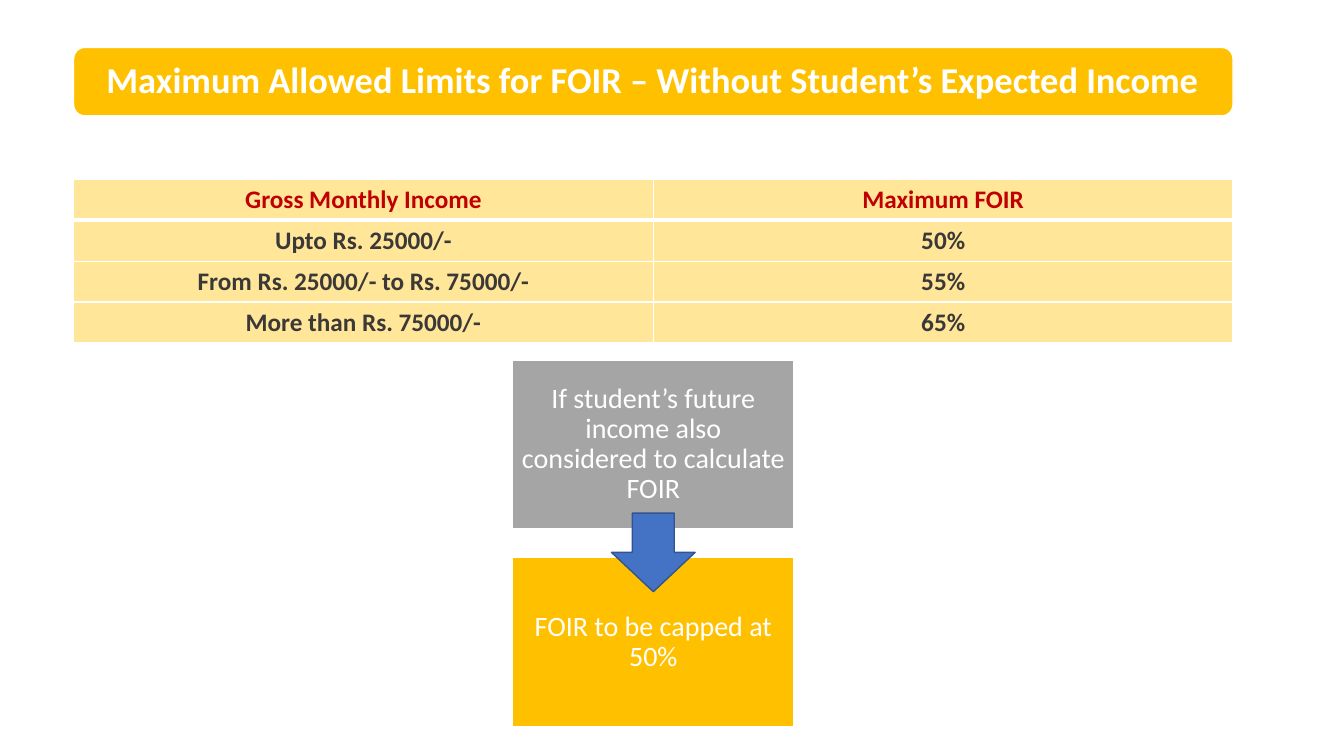
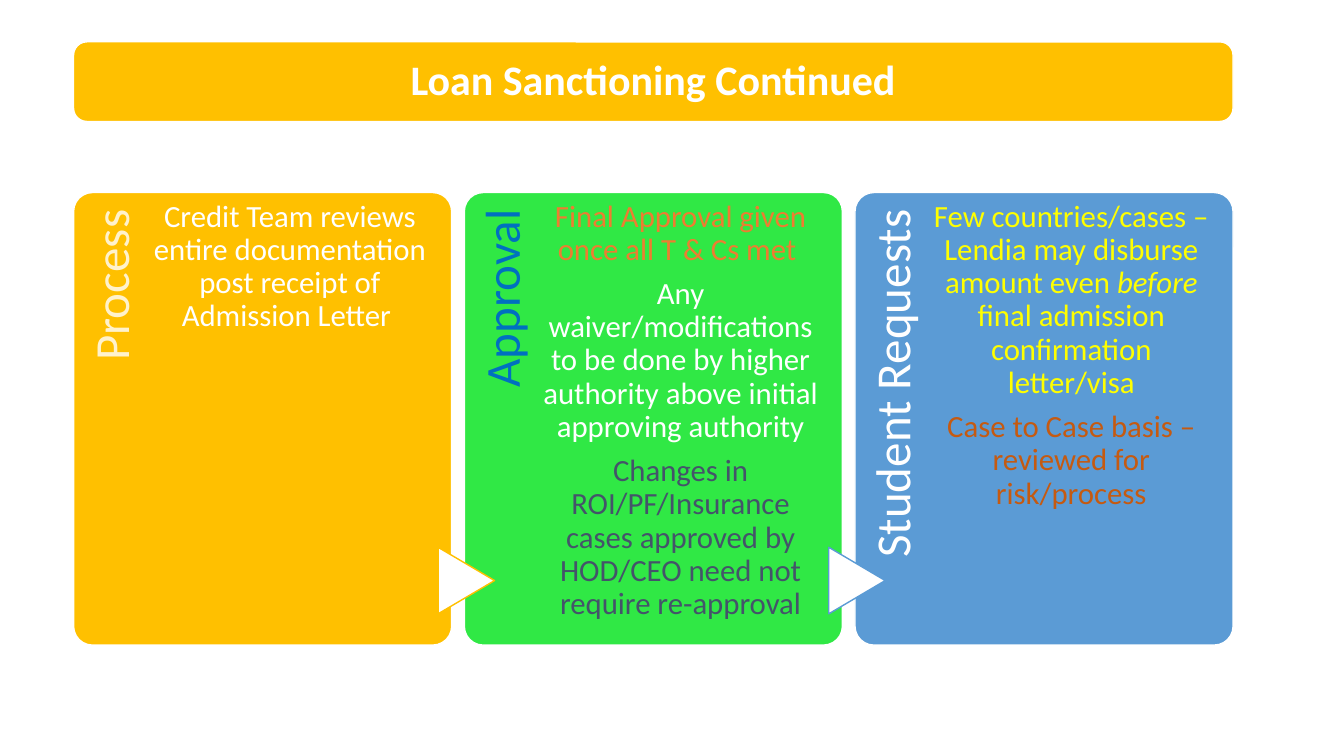
from pptx import Presentation
from pptx.dml.color import RGBColor
from pptx.enum.shapes import MSO_SHAPE
from pptx.enum.text import MSO_ANCHOR, MSO_AUTO_SIZE, PP_ALIGN
from pptx.oxml.ns import qn
from pptx.util import Inches, Pt
from lxml import etree

# Shared look
FONT = "Calibri"
COLORS = {
    "white": "FFFFFF", "gold": "FFC000", "pale_gold": "FFE699", "cream": "FFF2CC",
    "gray": "A5A5A5", "dark": "3B3838", "red": "C00000", "green": "30E845",
    "sky": "5B9BD5", "blue": "4472C4", "navy": "325491", "azure": "0070C0",
    "orange": "ED7D31", "slate": "44546A", "yellow": "FFFF00", "rust": "C55A11",
}
LEFT, WIDTH = 0.73, 11.5
BAND_MIDDLE = 0.81

# Content: slide 1
LIMITS_TITLE = "Maximum Allowed Limits for FOIR – Without Student’s Expected Income"
LIMITS = [
    ("Gross Monthly Income", "Maximum FOIR"),
    ("Upto Rs. 25000/-", "50%"),
    ("From Rs. 25000/- to Rs. 75000/-", "55%"),
    ("More than Rs. 75000/-", "65%"),
]
STEPS = [
    ("If student’s future income also considered to calculate FOIR", "gray"),
    ("FOIR to be capped at 50%", "gold"),
]

# Content: slide 2; each paragraph is a colour and its (text, italic) runs
SANCTION_TITLE = "Loan Sanctioning Continued"
CARDS = [
    ("Process", "gold", "cream", [
        ("white", [("Credit Team reviews entire documentation post receipt of "
                    "Admission Letter ", False)]),
    ]),
    ("Approval", "green", "azure", [
        ("orange", [("Final Approval given once all T & Cs met ", False)]),
        ("white", [("Any waiver/modifications to be done by higher authority "
                    "above initial approving authority", False)]),
        ("slate", [("Changes in ROI/PF/Insurance cases approved by HOD/CEO "
                    "need not require re-approval", False)]),
    ]),
    ("Student Requests", "sky", "white", [
        ("yellow", [("Few countries/cases – Lendia may disburse amount even ", False),
                    ("before ", True),
                    ("final admission confirmation letter/visa", False)]),
        ("rust", [("Case to Case basis – reviewed for risk/process", False)]),
    ]),
]
ARROW_LINES = ["gold", "sky"]


def rgb(name):
    return RGBColor.from_string(COLORS[name])


def place(sp, x, y, w, h):
    sp.left, sp.top, sp.width, sp.height = (Inches(v) for v in (x, y, w, h))


def add_box(s, kind, x, y, w, h, fill, line="white"):
    sp = s.shapes.add_shape(kind, *(Inches(v) for v in (x, y, w, h)))
    sp.shadow.inherit = False
    sp.fill.solid()
    sp.fill.fore_color.rgb = rgb(fill)
    sp.line.color.rgb = rgb(line)
    sp.line.width = Pt(1)
    return sp


def set_frame(sp, margins, anchor):
    tf = sp.text_frame
    tf.word_wrap = True
    tf.auto_size = MSO_AUTO_SIZE.NONE
    tf.vertical_anchor = anchor
    tf.margin_left, tf.margin_top, tf.margin_right, tf.margin_bottom = (
        Inches(m) for m in margins)
    return tf


def add_run(p, text, size, color, bold=False, italic=False):
    r = p.add_run()
    r.text = text
    f = r.font
    f.name, f.size, f.bold, f.italic = FONT, Pt(size), bold, italic
    f.color.rgb = rgb(color)


def write(tf, paragraphs, size, align=PP_ALIGN.CENTER, bold=False):
    for i, (color, runs) in enumerate(paragraphs):
        p = tf.paragraphs[0] if i == 0 else tf.add_paragraph()
        pPr = p._p.get_or_add_pPr()
        pPr.set("marL", "0")
        pPr.set("indent", "0")
        etree.SubElement(pPr, qn("a:buNone"))
        p.alignment = align
        p.line_spacing = 0.9
        p.space_before = Pt(0)
        p.space_after = Pt(round(0.35 * size, 1))
        for text, italic in runs:
            add_run(p, text, size, color, bold, italic)


def add_title(s, text, size, height, margin):
    top = BAND_MIDDLE - height / 2
    band = add_box(s, MSO_SHAPE.ROUNDED_RECTANGLE, LEFT, top, WIDTH, height, "gold")
    title = s.shapes.title
    title._element.addprevious(band._element)
    inset = 0.03
    place(title, LEFT + inset, top + inset, WIDTH - 2 * inset, height - 2 * inset)
    tf = set_frame(title, [margin] * 4, MSO_ANCHOR.MIDDLE)
    write(tf, [("white", [(text, False)])], size, bold=True)


def set_borders(cell, bottom):
    tcPr = cell._tc.get_or_add_tcPr()
    for i, (side, width) in enumerate(
            [("lnL", 1), ("lnR", 1), ("lnT", 1), ("lnB", bottom)]):
        ln = etree.Element(qn("a:" + side), w=str(Pt(width)))
        fill = etree.SubElement(ln, qn("a:solidFill"))
        etree.SubElement(fill, qn("a:srgbClr"), val=COLORS["white"])
        tcPr.insert(i, ln)


def add_limits_table(s, y, row_h):
    rows, cols = len(LIMITS), len(LIMITS[0])
    table = s.shapes.add_table(rows, cols, Inches(LEFT), Inches(y), Inches(WIDTH),
                               Inches(rows * row_h)).table
    table.horz_banding = False
    for i, row in enumerate(LIMITS):
        table.rows[i].height = Inches(row_h)
        for j, text in enumerate(row):
            cell = table.cell(i, j)
            cell.fill.solid()
            cell.fill.fore_color.rgb = rgb("pale_gold")
            p = cell.text_frame.paragraphs[0]
            p.alignment = PP_ALIGN.CENTER
            add_run(p, text, 18, "dark" if i else "red", bold=True)
            set_borders(cell, 1 if i else 3)
            if i == 1:  # share the thick rule under the header
                cell._tc.tcPr.find(qn("a:lnT")).set("w", str(Pt(3)))


def build_limits(prs):
    s = prs.slides.add_slide(prs.slide_layouts[5])
    add_title(s, LIMITS_TITLE, 26, 0.68, 0.11)
    add_limits_table(s, 1.78, 0.405)

    # Two stacked steps, centred under the table
    middle = LEFT + WIDTH / 2
    w, h, top, pitch = 2.79, 1.68, 3.57, 1.96
    for i, (text, fill) in enumerate(STEPS):
        sp = add_box(s, MSO_SHAPE.RECTANGLE, middle - w / 2, top + i * pitch, w, h, fill)
        tf = set_frame(sp, [0.08] * 4, MSO_ANCHOR.MIDDLE)
        write(tf, [("white", [(text, False)])], 20)
    arrow_w, arrow_h = 0.83, 0.78
    add_box(s, MSO_SHAPE.DOWN_ARROW, middle - arrow_w / 2, 5.09, arrow_w, arrow_h,
            "blue", "navy")


def build_sanctioning(prs):
    s = prs.slides.add_slide(prs.slide_layouts[4])
    add_title(s, SANCTION_TITLE, 30, 0.79, 0.12)

    # Three equal cards: a sideways heading strip and a body column
    top, w, h, gap = 1.91, 3.75, 4.49, 0.125
    strip, strip_len, body_w = 0.75, 3.69, 2.79
    arrow_w, arrow_h, arrow_y = 0.66, 0.56, 5.76
    for i, (heading, fill, heading_color, paragraphs) in enumerate(CARDS):
        x = LEFT + i * (w + gap)
        card = add_box(s, MSO_SHAPE.ROUNDED_RECTANGLE, x, top, w, h, fill)
        card.adjustments[0] = 0.05

        label = s.shapes.add_textbox(0, 0, 0, 0)
        place(label, x + (strip - strip_len) / 2, top + (strip_len - strip) / 2,
              strip_len, strip)
        label.rotation = 270
        tf = set_frame(label, (0, 0.13, 0.17, 0), MSO_ANCHOR.TOP)
        write(tf, [(heading_color, [(heading, False)])], 35, PP_ALIGN.RIGHT)

        if i:
            arrow = add_box(s, MSO_SHAPE.FLOWCHART_EXTRACT, x + 0.02 - arrow_w / 2,
                            arrow_y - arrow_h / 2, arrow_w, arrow_h, "white",
                            ARROW_LINES[i - 1])
            arrow.rotation = 90

        body = s.placeholders[i + 1]
        s.shapes._spTree.append(body._element)
        place(body, x + strip, top, body_w, h)
        tf = set_frame(body, (0, 0.08, 0, 0), MSO_ANCHOR.TOP)
        write(tf, paragraphs, 22)

    spare = s.placeholders[len(CARDS) + 1]._element
    spare.getparent().remove(spare)


def main():
    prs = Presentation()
    prs.slide_width, prs.slide_height = Inches(13.33), Inches(7.5)
    build_limits(prs)
    build_sanctioning(prs)
    prs.save("out.pptx")


if __name__ == "__main__":
    main()
